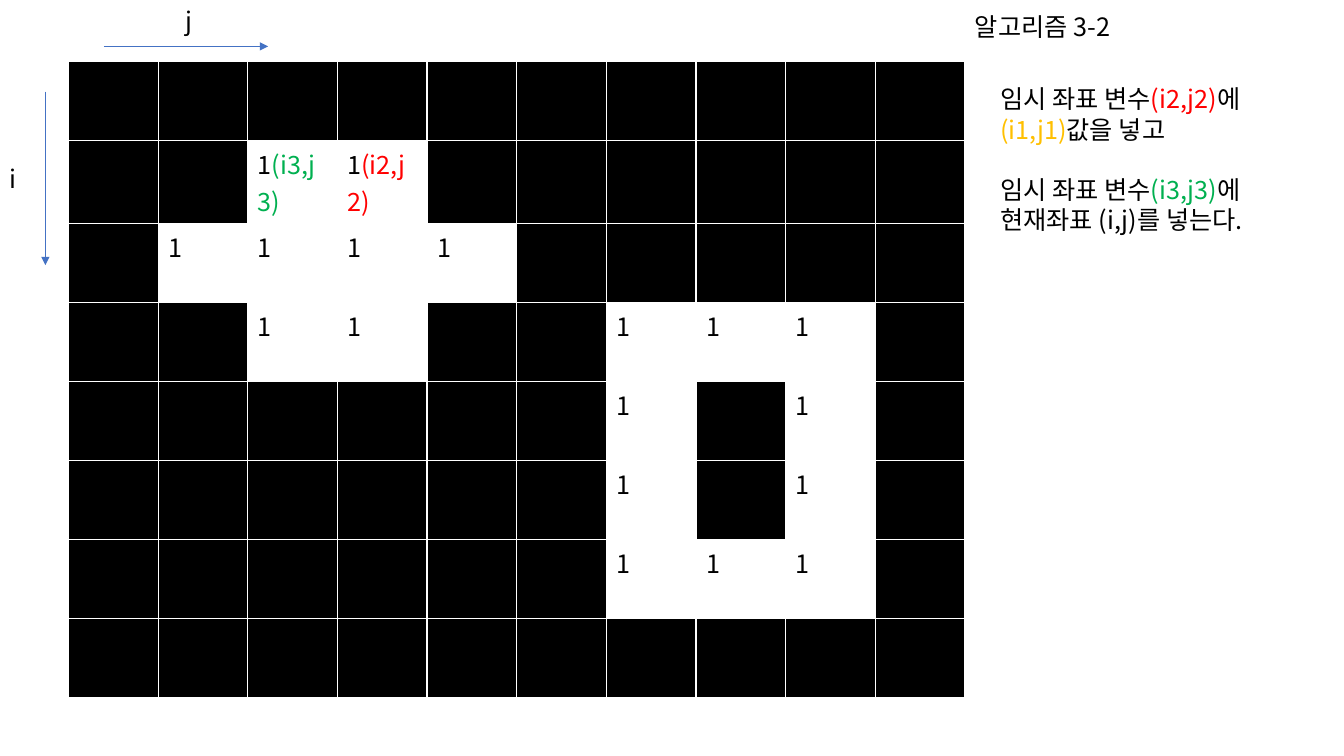
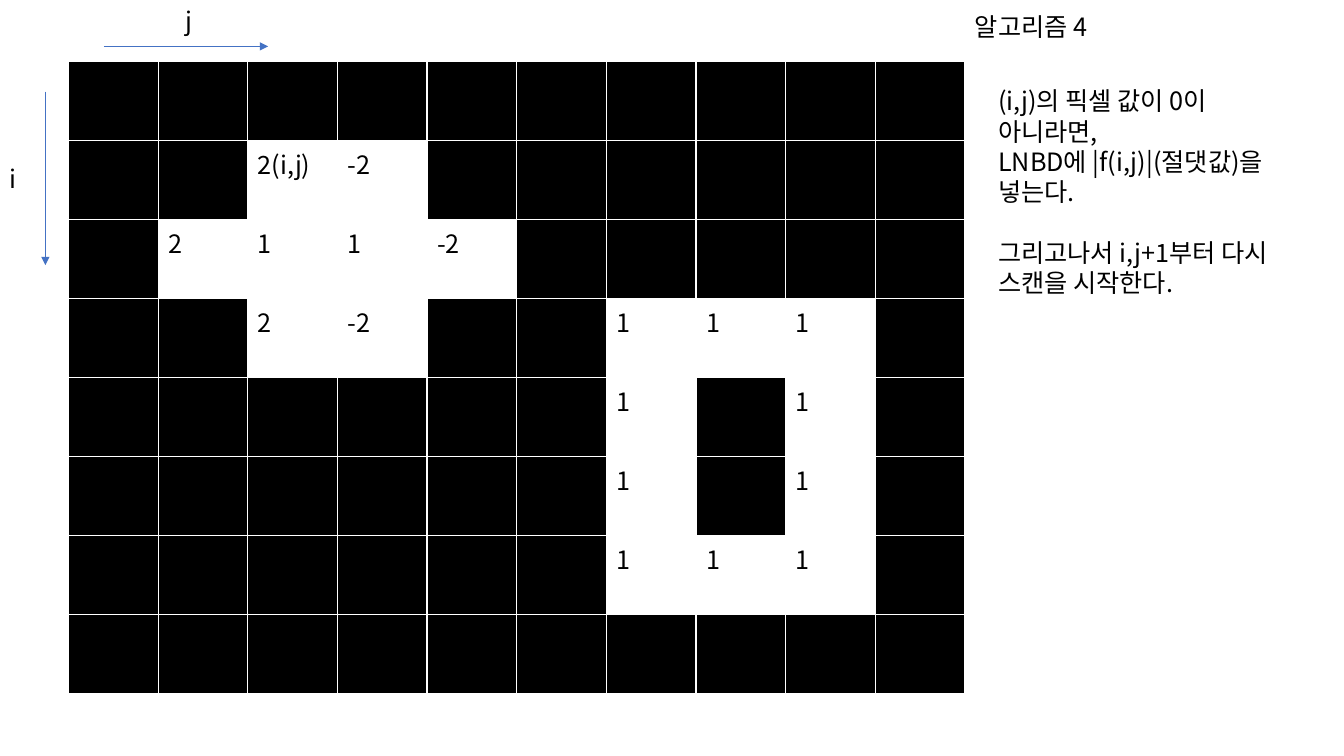
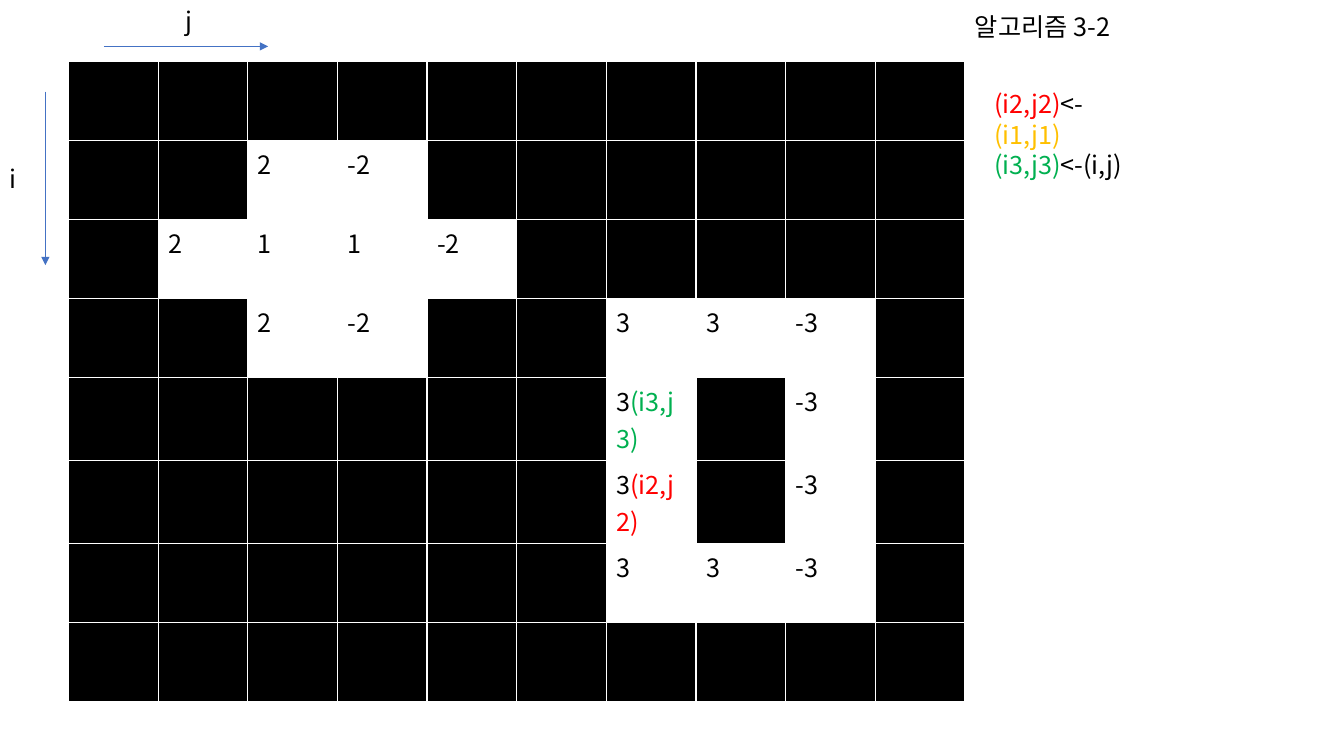
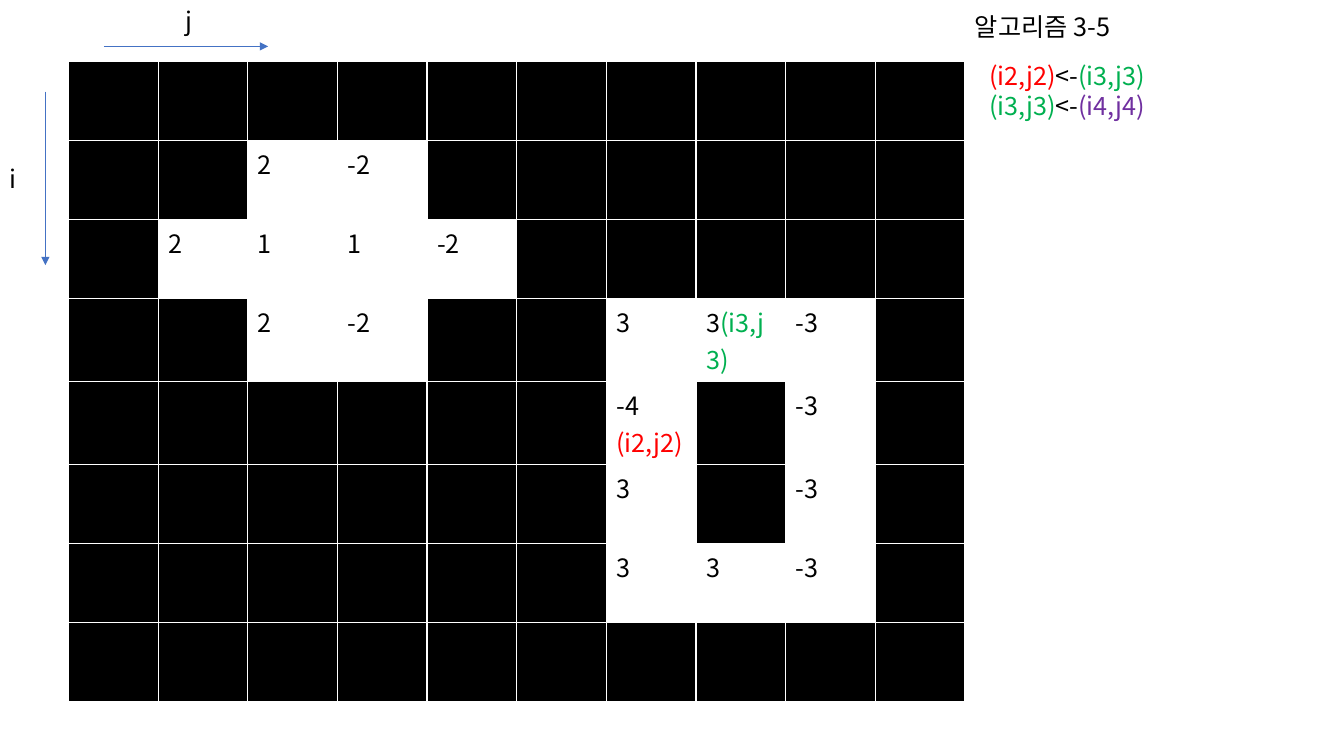
"""Builds four slides that trace a border-following algorithm on a pixel grid."""
from pptx import Presentation
from pptx.dml.color import RGBColor
from pptx.enum import shapes, text
from pptx.oxml import xmlchemy
from pptx.util import Inches, Pt

FONT = "Noto Sans CJK KR"
SIZE = Pt(18)
LINE_PITCH = Pt(21.6)
BLACK, WHITE, ARROW = "000000", "FFFFFF", "4472C4"
POINT_COLOURS = {"(i1,j1)": "FFC000", "(i2,j2)": "FF0000",
                 "(i3,j3)": "00B050", "(i4,j4)": "7030A0"}
GRID_BOX = (0.68, 0.61, 8.89, 6.27)
EMPTY_ROW = ". . . . . . . . . ."

SLIDES = [
    {"title": ("알고리즘 3-2", 1.68),
     "box": (9.82, 0.78, 2.85, 1.62),
     "notes": [["임시 좌표 변수~(i2,j2)~에", "(i1,j1)~값을 넣고"],
               ["임시 좌표 변수~(i3,j3)~에", "현재좌표 (i,j)를 넣는다."]],
     "rows": [". . 1~(i3,j3) 1~(i2,j2) . . . . . .",
              ". 1 1 1 1 . . . . .",
              ". . 1 1 . . 1 1 1 .",
              ". . . . . . 1 . 1 .",
              ". . . . . . 1 . 1 .",
              ". . . . . . 1 1 1 ."]},
    {"title": ("알고리즘 4", 1.44),
     "box": (9.8, 0.8, 3.47, 2.22),
     "notes": [["(i,j)의 픽셀 값이 0이", "아니라면,",
                "LNBD에 |f(i,j)|(절댓값)을", "넣는다."],
               ["그리고나서 i,j+1부터 다시 스캔을 시작한다."]],
     "rows": [". . 2(i,j) -2 . . . . . .",
              ". 2 1 1 -2 . . . . .",
              ". . 2 -2 . . 1 1 1 .",
              ". . . . . . 1 . 1 .",
              ". . . . . . 1 . 1 .",
              ". . . . . . 1 1 1 ."]},
    {"title": ("알고리즘 3-2", 1.68),
     "box": (9.76, 0.83, 1.7, 0.71),
     "notes": [["(i2,j2)~<-~(i1,j1)", "(i3,j3)~<-(i,j)"]],
     "rows": [". . 2 -2 . . . . . .",
              ". 2 1 1 -2 . . . . .",
              ". . 2 -2 . . 3 3 -3 .",
              ". . . . . . 3~(i3,j3) . -3 .",
              ". . . . . . 3~(i2,j2) . -3 .",
              ". . . . . . 3 3 -3 ."]},
    {"title": ("알고리즘 3-5", 1.68),
     "box": (9.71, 0.55, 1.9, 0.71),
     "notes": [["(i2,j2)~<-~(i3,j3)", "(i3,j3)~<-~(i4,j4)"]],
     "rows": [". . 2 -2 . . . . . .",
              ". 2 1 1 -2 . . . . .",
              ". . 2 -2 . . 3 3~(i3,j3) -3 .",
              ". . . . . . -4/(i2,j2) . -3 .",
              ". . . . . . 3 . -3 .",
              ". . . . . . 3 3 -3 ."]},
]


def colour(value):
    """Turn a hex string into a colour."""
    return RGBColor.from_string(value)


def add_element(parent, tag, **attributes):
    """Append a DrawingML element to a parent."""
    child = parent.makeelement(xmlchemy.qn(tag), attributes)
    parent.append(child)
    return child


def add_runs(p, line):
    """Write a line whose runs are split by a tilde."""
    for part in line.split("~"):
        r = p.add_run()
        r.text = part
        r.font.size, r.font.name, r.font.bold = SIZE, FONT, False
        r.font.color.rgb = colour(POINT_COLOURS.get(part, BLACK))
        add_element(r.font._element, "a:ea", typeface=FONT)


def next_paragraph(tf, first):
    """Return the first paragraph or a new one."""
    return tf.paragraphs[0] if first else tf.add_paragraph()


def fill_text(sp, box, blocks):
    """Place a text shape and write blocks of lines, one line apart."""
    sp.left, sp.top, sp.width, sp.height = map(Inches, box)
    tf = sp.text_frame
    tf.word_wrap = True
    tf.auto_size = text.MSO_AUTO_SIZE.NONE
    tf.vertical_anchor = text.MSO_ANCHOR.TOP
    for b, block in enumerate(blocks):
        for n, line in enumerate(block):
            p = next_paragraph(tf, b == n == 0)
            p.alignment = text.PP_ALIGN.LEFT
            p.line_spacing = LINE_PITCH
            p.space_before = LINE_PITCH if b and not n else Pt(0)
            p.space_after = Pt(0)
            pPr = p._p.get_or_add_pPr()
            pPr.set("marL", "0")
            pPr.set("indent", "0")
            add_element(pPr, "a:buNone")
            add_runs(p, line)


def style_cell(cell, value):
    """Border and fill a pixel, and write its value."""
    tcPr = cell._tc.get_or_add_tcPr()
    for side in ("a:lnL", "a:lnR", "a:lnT", "a:lnB"):
        ln = add_element(tcPr, side, w=str(Pt(1)))
        add_element(add_element(ln, "a:solidFill"), "a:srgbClr", val=WHITE)
    cell.fill.solid()
    cell.fill.fore_color.rgb = colour(BLACK if value == "." else WHITE)
    if value != ".":
        for n, line in enumerate(value.split("/")):
            add_runs(next_paragraph(cell.text_frame, n == 0), line)


def add_grid(s, box, rows):
    """Draw the pixel grid as a table."""
    values = [row.split() for row in rows]
    table = s.shapes.add_table(len(values), len(values[0]), *map(Inches, box)).table
    table.first_row = table.horz_banding = False
    for y, row in enumerate(values):
        for x, value in enumerate(row):
            style_cell(table.cell(y, x), value)


def add_axis(s, start, end, label, label_box):
    """Draw an index arrow and its label."""
    line = s.shapes.add_connector(shapes.MSO_CONNECTOR.STRAIGHT,
                                  *map(Inches, start + end))
    line.line.color.rgb = colour(ARROW)
    line.line.width = Pt(0.5)
    add_element(line.line._get_or_add_ln(), "a:tailEnd", type="triangle")
    add_element(line._element.spPr, "a:effectLst")
    fill_text(s.shapes.add_textbox(0, 0, 0, 0), label_box, [[label]])


def add_axes(s, box):
    """Place both index arrows beside the grid."""
    left, top = box[:2]
    add_axis(s, (left + 0.35, top - 0.15), (left + 1.98, top - 0.15),
             "j", (left + 1.06, 0, 0.38, 0.4))
    add_axis(s, (left - 0.23, top + 0.3), (left - 0.23, top + 2.02),
             "i", (0, top + 0.96, 0.32, 0.4))


def add_step(prs, step):
    """Build one slide for a step of the algorithm."""
    s = prs.slides.add_slide(prs.slide_layouts[1])
    title, width = step["title"]
    fill_text(s.shapes.title, (GRID_BOX[0] + GRID_BOX[2], 0.06, width, 0.4), [[title]])
    fill_text(s.placeholders[1], step["box"], step["notes"])
    add_grid(s, GRID_BOX, [EMPTY_ROW, *step["rows"], EMPTY_ROW])
    add_axes(s, GRID_BOX)


def main():
    """Build and save the presentation."""
    prs = Presentation()
    prs.slide_width, prs.slide_height = Inches(13.33), Inches(7.5)
    for step in SLIDES:
        add_step(prs, step)
    prs.save("out.pptx")


if __name__ == "__main__":
    main()
